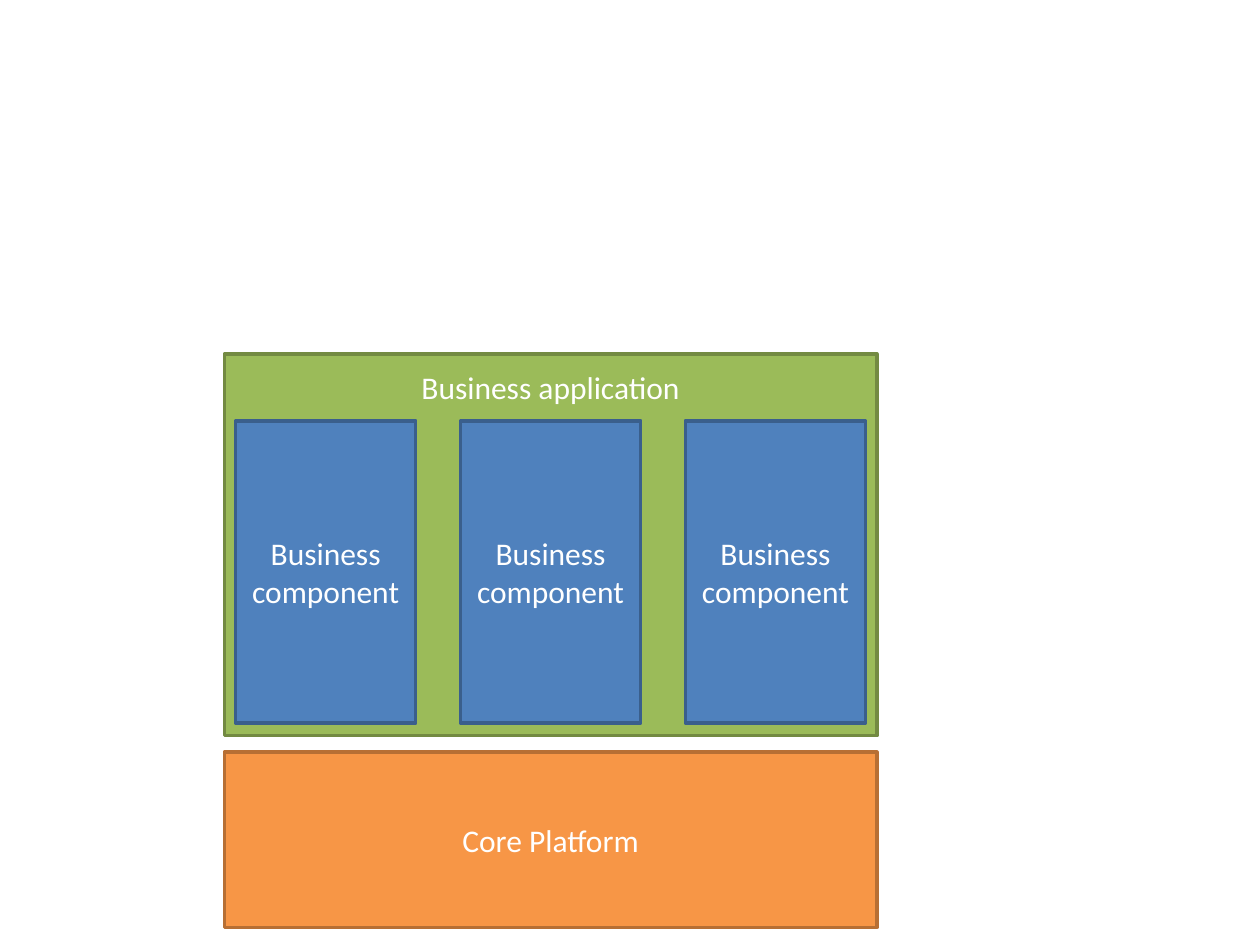
from pptx import Presentation
from pptx.dml.color import RGBColor
from pptx.enum.shapes import MSO_SHAPE
from pptx.enum.text import MSO_ANCHOR, PP_ALIGN
from pptx.util import Inches, Pt

RECTANGLE = MSO_SHAPE.RECTANGLE
MIDDLE = MSO_ANCHOR.MIDDLE
CENTER = PP_ALIGN.CENTER

WHITE = RGBColor(0xFF, 0xFF, 0xFF)
GREEN = RGBColor(0x9B, 0xBB, 0x59)
DARK_GREEN = RGBColor(0x73, 0x8A, 0x42)
BLUE = RGBColor(0x4F, 0x81, 0xBD)
DARK_BLUE = RGBColor(0x3A, 0x5F, 0x8C)
ORANGE = RGBColor(0xF7, 0x96, 0x46)
DARK_ORANGE = RGBColor(0xB7, 0x6F, 0x34)


def write_label(frame, label):
    """Write a centred white label into a text frame."""
    paragraph = frame.paragraphs[0]
    paragraph.text = label
    paragraph.alignment = CENTER
    paragraph.font.name = "Calibri"
    paragraph.font.size = Pt(18)
    paragraph.font.color.rgb = WHITE


def add_block(slide, left, top, width, height, fill, outline, label=None):
    """Add an outlined rectangle with an optional label."""
    block = slide.shapes.add_shape(
        RECTANGLE, Inches(left), Inches(top), Inches(width), Inches(height))
    block.shadow.inherit = False
    block.fill.solid()
    block.fill.fore_color.rgb = fill
    block.line.color.rgb = outline
    block.line.width = Pt(2)
    if label:
        block.text_frame.word_wrap = True
        block.text_frame.vertical_anchor = MIDDLE
        write_label(block.text_frame, label)


def add_application(slide, left, top, width, height):
    """Draw the application with its heading and three components."""
    add_block(slide, left, top, width, height, GREEN, DARK_GREEN)
    heading = slide.shapes.add_textbox(
        Inches(left), Inches(top + 0.06), Inches(width), Inches(0.4))
    heading.text_frame.word_wrap = True
    write_label(heading.text_frame, "Business application")

    margin, component_width, component_height = 0.09, 1.43, 2.4
    pitch = (width - 2 * margin - component_width) / 2
    for column in range(3):
        add_block(slide, left + margin + column * pitch, top + 0.53,
                  component_width, component_height,
                  BLUE, DARK_BLUE, "Business component")


def add_platform(slide, left, top, width, height):
    """Draw the platform that carries the application."""
    add_block(slide, left, top, width, height,
              ORANGE, DARK_ORANGE, "Core Platform")


def build():
    """Build and save the architecture slide."""
    deck = Presentation()
    deck.slide_width = Inches(10)
    deck.slide_height = Inches(7.5)
    slide = deck.slides.add_slide(deck.slide_layouts[6])
    left, width = 1.78, 5.18
    add_application(slide, left, 2.81, width, 3.03)
    add_platform(slide, left, 5.97, width, 1.39)
    deck.save("out.pptx")


build()
